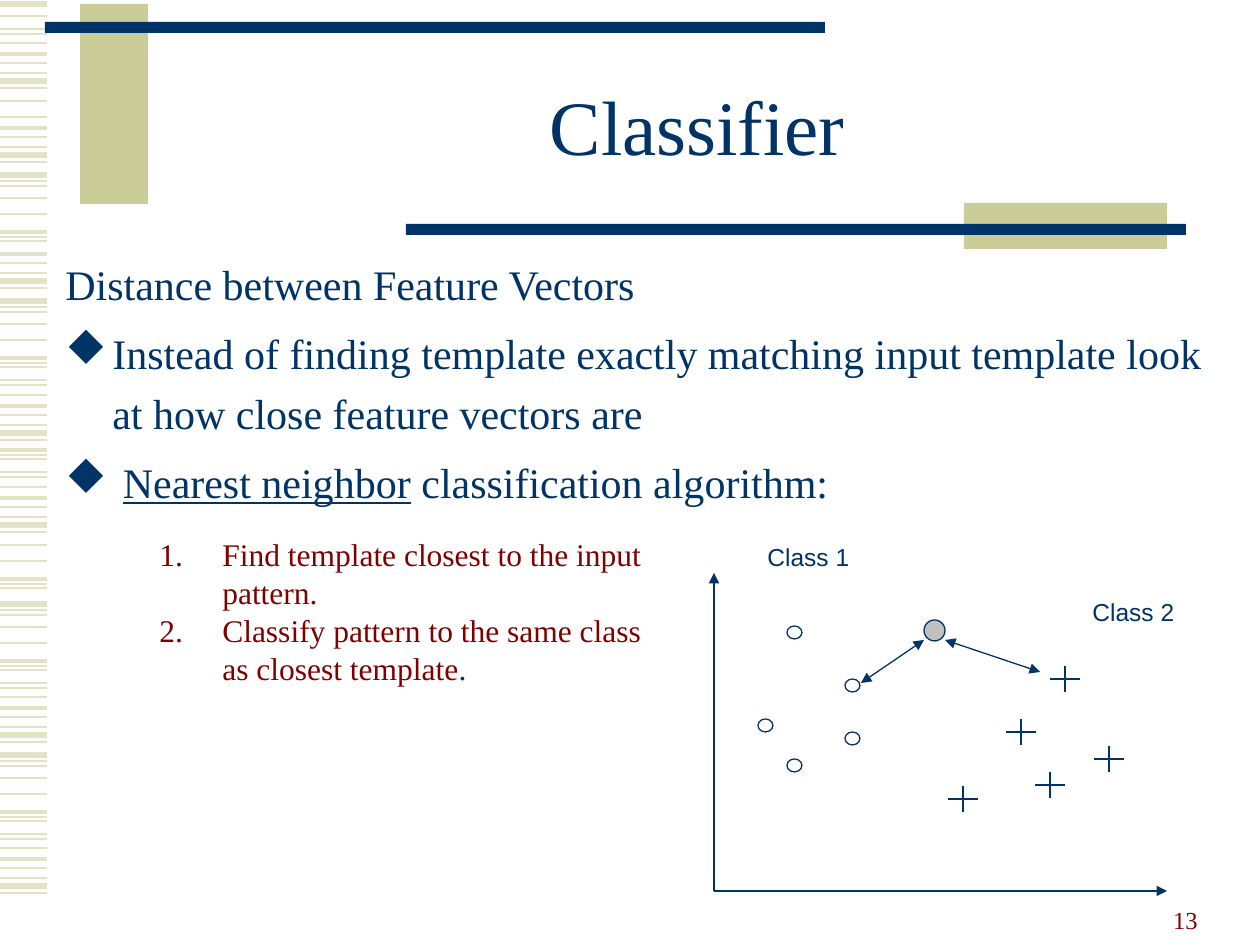
import pptx
import pptx.dml.color
import pptx.enum.shapes
import pptx.enum.text
import pptx.oxml
import pptx.oxml.ns
import pptx.util
from lxml import etree

EMU_PER_PX = 914400 / 126
NAVY, MAROON, KHAKI, PALE_KHAKI, SILVER = "003366", "800000", "CCCC99", "E3E2C7", "C0C0C0"
SERIF, SANS, SYMBOLS = "Times New Roman", "Arial", "Wingdings"
DIAMOND = "u"  # the diamond's place in the symbol font
SHAPES = pptx.enum.shapes.MSO_SHAPE
ALIGN = pptx.enum.text.PP_ALIGN
ANCHOR = pptx.enum.text.MSO_ANCHOR
GROW = pptx.enum.text.MSO_AUTO_SIZE.SHAPE_TO_FIT_TEXT


def px(length):
    return pptx.util.Emu(round(length * EMU_PER_PX))


def rgb(value):
    return pptx.dml.color.RGBColor.from_string(value)


def apply(target, values):
    for name, value in values.items():
        setattr(target, name, value)


def add_xml(parent, tag, **attributes):
    return etree.SubElement(parent, pptx.oxml.ns.qn(tag), attributes)


class SlideBuilder:
    def __init__(self, slide, line_color=NAVY, line_weight=0.75):
        self.shapes = slide.shapes
        self.line_color = line_color
        self.line_weight = line_weight

    def line(self, x1, y1, x2, y2, color=None, weight=None, arrows=()):
        """arrows names the ends to mark: headEnd is the start, tailEnd the finish."""
        connector = self.shapes.add_connector(
            pptx.enum.shapes.MSO_CONNECTOR.STRAIGHT, px(x1), px(y1), px(x2), px(y2))
        connector.line.color.rgb = rgb(color or self.line_color)
        connector.line.width = pptx.util.Pt(weight or self.line_weight)
        outline = connector.line._get_or_add_ln()
        for end in arrows:
            add_xml(outline, f"a:{end}", type="triangle")
        add_xml(connector._element.spPr, "a:effectLst")

    def shape(self, kind, x, y, width, height, fill=None, outlined=False):
        shape = self.shapes.add_shape(kind, px(x), px(y), px(width), px(height))
        shape.shadow.inherit = False
        if fill:
            shape.fill.solid()
            shape.fill.fore_color.rgb = rgb(fill)
        else:
            shape.fill.background()
        if outlined:
            shape.line.color.rgb = rgb(self.line_color)
            shape.line.width = pptx.util.Pt(self.line_weight)
        else:
            shape.line.fill.background()

    def cross(self, x, y):
        self.line(x - 15, y, x + 15, y)
        self.line(x, y - 13, x, y + 13)

    def text(self, x, y, width, height, paragraphs, size, color=NAVY, font=SERIF,
             frame_format=None, paragraph_format=None, hanging=None):
        """Each paragraph is (bullet, runs), each run (text, font values).

        hanging is (left margin, first-line outdent) in px.
        """
        box = self.shapes.add_textbox(px(x), px(y), px(width), px(height))
        frame = box.text_frame
        apply(frame, {"word_wrap": True, **(frame_format or {})})
        for index, (bullet, runs) in enumerate(paragraphs):
            paragraph = frame.add_paragraph() if index else frame.paragraphs[0]
            apply(paragraph, paragraph_format or {})
            properties = paragraph._p.get_or_add_pPr()
            if hanging:
                margin, outdent = hanging
                properties.set("marL", str(px(margin)))
                properties.set("indent", str(-px(outdent)))
            if bullet == "number":
                add_xml(properties, "a:buAutoNum", type="arabicPeriod")
            elif bullet:
                add_xml(add_xml(properties, "a:buClr"), "a:srgbClr", val=color)
                add_xml(properties, "a:buFont", typeface=SYMBOLS, charset="2")
                add_xml(properties, "a:buChar", char=bullet)
            for words, values in runs:
                run = paragraph.add_run()
                run.text = words
                run.font.color.rgb = rgb(values.get("color", color))
                extras = {k: v for k, v in values.items() if k != "color"}
                apply(run.font, {"name": font, "size": pptx.util.Pt(size), **extras})


def draw_margin_stripes(builder):
    """Two runs of (offset, weight) repeat down the left margin, some cut short."""
    dense = [(-38, 1), (-27, 2.25), (-18, 1.5), (-8, 0.75), (0, 3), (7, 1.5)]
    loose = [(0, 3), (6, 0.75), (11, 1), (23, 1), (39, 1),
             (57, 2.25), (62, 0.75), (66, 1.5), (79, 0.75), (84, 1.5)]
    bands = [(y, dense) for y in (81, 155, 433, 525, 735, 886)]
    bands += [(y, loose) for y in (301, 604, 755)]
    bands += [(281, dense[1:]), (-50, loose[7:]), (175, loose[:8]),
              (393, loose[5:]), (522, loose[3:8]), (0, [(4, 3), (101, 1)])]
    for y, stripes in bands:
        for offset, weight in stripes:
            builder.line(-42, y + offset, 47, y + offset, PALE_KHAKI, weight)


def draw_frame(builder):
    for x, y, width, height, fill in [
            (80, 4, 68, 200, KHAKI), (45, 22, 780, 11, NAVY),
            (964, 203, 203, 46, KHAKI), (406, 224, 780, 11, NAVY)]:
        builder.shape(SHAPES.RECTANGLE, x, y, width, height, fill)


def draw_texts(builder):
    builder.text(908, 878, 302, 63, [(None, [("13", {})])], 14, MAROON,
                 frame_format={"vertical_anchor": ANCHOR.BOTTOM},
                 paragraph_format={"alignment": ALIGN.RIGHT})
    builder.text(189, 53, 1017, 157, [(None, [("Classifier", {})])], 44,
                 frame_format={"vertical_anchor": ANCHOR.MIDDLE},
                 paragraph_format={"alignment": ALIGN.CENTER, "line_spacing": 0.85})
    points = [
        (None, [("Distance between Feature Vectors", {})]),
        (DIAMOND, [("Instead of finding template exactly matching input template look "
                    "at how close feature vectors are", {})]),
        (DIAMOND, [(" ", {}), ("Nearest neighbor", {"underline": True}),
                   (" classification algorithm:", {})]),
    ]
    builder.text(53, 242, 1176, 367, points, 24, hanging=(47, 47),
                 paragraph_format={"line_spacing": 1.2, "space_before": pptx.util.Pt(4.8)})
    steps = [
        ("number", [("Find template closest to the input pattern.", {})]),
        ("number", [("Classify pattern to the same class as closest template", {}),
                    (".", {"color": NAVY})]),
    ]
    builder.text(84, 529, 577, 164, steps, 18, MAROON, hanging=(126, 63),
                 frame_format={"auto_size": GROW}, paragraph_format={"level": 1})


def draw_feature_space(builder):
    origin_x, origin_y = 714, 891
    for end_x, end_y in [(origin_x, 573), (1167, origin_y)]:
        builder.line(origin_x, origin_y, end_x, end_y, arrows=["tailEnd"])
    for x, y in [(787, 626), (845, 679), (845, 732), (758, 719), (787, 759)]:
        builder.shape(SHAPES.OVAL, x, y, 15, 13, outlined=True)
    for x, y in [(1065, 679), (963, 799), (1050, 785), (1109, 759), (1021, 732)]:
        builder.cross(x, y)
    for label, x, y in [("Class 1", 755, 536), ("Class 2", 1080, 591)]:
        builder.text(x, y, 107, 42, [(None, [(label, {})])], 14, font=SANS,
                     frame_format={"word_wrap": False, "auto_size": GROW})
    builder.shape(SHAPES.OVAL, 924, 620, 21, 21, SILVER, outlined=True)
    for ends in [(861, 683, 924, 640), (945, 640, 1040, 672)]:
        builder.line(*ends, arrows=["headEnd", "tailEnd"])


def main():
    presentation = pptx.Presentation()
    apply(presentation, {"slide_width": px(1260), "slide_height": px(945)})
    builder = SlideBuilder(presentation.slides.add_slide(presentation.slide_layouts[6]))
    draw_margin_stripes(builder)
    draw_frame(builder)
    draw_texts(builder)
    draw_feature_space(builder)
    presentation.save("out.pptx")


if __name__ == "__main__":
    main()
